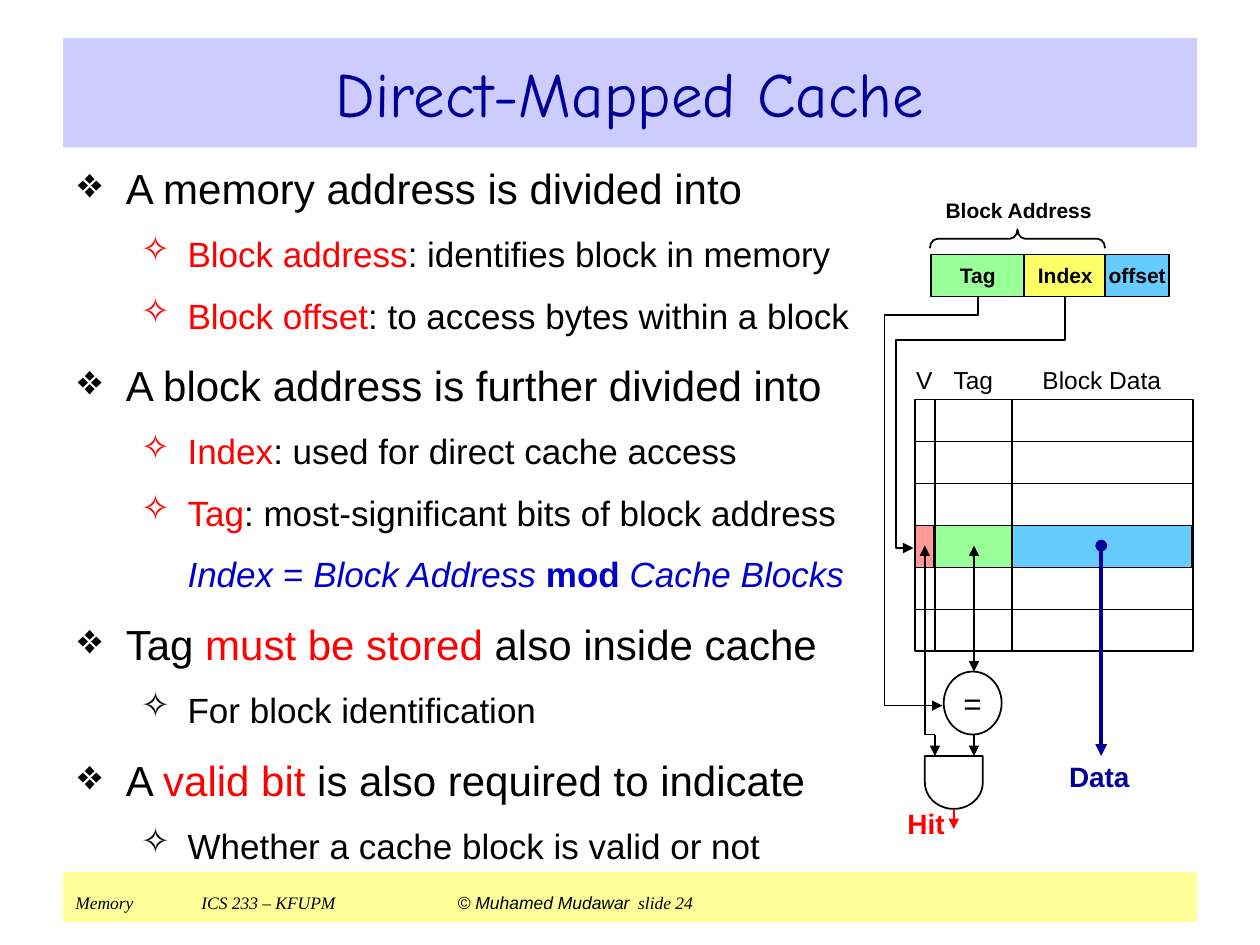
"""Build the Direct-Mapped Cache slide."""
from dataclasses import dataclass
from typing import NamedTuple, Optional

from lxml.etree import SubElement
from pptx import Presentation
from pptx.dml.color import RGBColor
from pptx.enum.shapes import MSO_CONNECTOR, MSO_SHAPE
from pptx.enum.text import MSO_ANCHOR, PP_ALIGN
from pptx.oxml.ns import qn
from pptx.util import Inches, Pt

C = {
    "black": "000000", "white": "FFFFFF", "red": "FF0000", "navy": "000099",
    "blue": "0000CC", "lavender": "CCCCFF", "cream": "FFFF99", "green": "99FF99",
    "yellow": "FFFF66", "sky": "66CCFF", "pink": "FF9999",
}


class Run(NamedTuple):
    text: str
    color: str = "black"
    italic: bool = False
    bold: bool = False
    size: Optional[float] = None
    font: str = "Arial"


class Para(NamedTuple):
    level: int
    runs: list
    bullet: str = "black"


@dataclass
class Box:
    x: float
    y: float
    w: float
    h: float
    fill: Optional[str] = None
    text: str = ""
    size: float = 12
    bold: bool = True
    color: str = "black"
    kind: MSO_SHAPE = MSO_SHAPE.RECTANGLE
    line: Optional[str] = "black"
    rotation: float = 0


class Arrow(NamedTuple):
    start: tuple
    end: tuple
    color: str = "black"
    width: float = 1
    head: str = ""
    tail: str = ""


def rgb(name: str) -> RGBColor:
    return RGBColor.from_string(C[name])


def add_run(p, run: Run, size: float) -> None:
    r = p.add_run()
    r.text = run.text
    f = r.font
    f.name, f.size, f.bold, f.italic = run.font, Pt(run.size or size), run.bold, run.italic
    f.color.rgb = rgb(run.color)


def style_line(sp, color: str, width: float = 1, head: str = "", tail: str = "") -> None:
    sp.line.color.rgb = rgb(color)
    sp.line.width = Pt(width)
    ln = sp.line._get_or_add_ln()
    for tag, end in (("a:headEnd", head), ("a:tailEnd", tail)):
        if end:
            SubElement(ln, qn(tag), type=end)


def center_text(tf, run: Run) -> None:
    tf.word_wrap = True
    tf.vertical_anchor = MSO_ANCHOR.MIDDLE
    tf.margin_left = tf.margin_right = tf.margin_top = tf.margin_bottom = 0
    tf.paragraphs[0].alignment = PP_ALIGN.CENTER
    add_run(tf.paragraphs[0], run, 12)


def draw_box(s, box: Box):
    sp = s.shapes.add_shape(box.kind, *map(Inches, (box.x, box.y, box.w, box.h)))
    sp.shadow.inherit = False
    sp.rotation = box.rotation
    if box.fill:
        sp.fill.solid()
        sp.fill.fore_color.rgb = rgb(box.fill)
    else:
        sp.fill.background()
    if box.line:
        style_line(sp, box.line)
    else:
        sp.line.fill.background()
    if box.text:
        center_text(sp.text_frame, Run(box.text, box.color, bold=box.bold, size=box.size))
    return sp


def draw_label(s, box: Box) -> None:
    sp = s.shapes.add_textbox(*map(Inches, (box.x, box.y, box.w, box.h)))
    center_text(sp.text_frame, Run(box.text, box.color, bold=box.bold, size=box.size))


def draw_arrow(s, a: Arrow) -> None:
    sp = s.shapes.add_connector(MSO_CONNECTOR.STRAIGHT, *map(Inches, a.start + a.end))
    style_line(sp, a.color, a.width, a.head, a.tail)
    SubElement(sp._element.spPr, qn("a:effectLst"))


def draw_path(s, points: list) -> None:
    pts = [(Inches(x), Inches(y)) for x, y in points]
    fb = s.shapes.build_freeform(*pts[0], scale=1.0)
    fb.add_line_segments(pts[1:], close=False)
    sp = fb.convert_to_shape()
    sp.shadow.inherit = False
    sp.fill.background()
    style_line(sp, "black", tail="triangle")


def draw_title(s) -> None:
    sp = s.shapes.title
    sp.left, sp.top, sp.width, sp.height = map(Inches, (0.5, 0.3, 9, 0.87))
    sp.fill.solid()
    sp.fill.fore_color.rgb = rgb("lavender")
    tf = sp.text_frame
    tf.vertical_anchor = MSO_ANCHOR.MIDDLE
    p = tf.paragraphs[0]
    p.alignment = PP_ALIGN.CENTER
    add_run(p, Run("Direct-Mapped Cache", "navy", font="Comic Neue"), 36)


def draw_footer(s) -> None:
    sp = draw_box(s, Box(0.5, 6.92, 9, 0.4, "cream", line=None))
    tf = sp.text_frame
    tf.word_wrap = True
    tf.vertical_anchor = MSO_ANCHOR.TOP
    p = tf.paragraphs[0]
    p.alignment = PP_ALIGN.LEFT
    tabs = SubElement(p._p.get_or_add_pPr(), qn("a:tabLst"))
    for pos in (1, 3):
        SubElement(tabs, qn("a:tab"), pos=str(Inches(pos)), algn="l")
    serif = "Times New Roman"
    for run in (Run("Memory\tICS 233 – KFUPM\t ", italic=True, font=serif),
                Run("© Muhamed Mudawar", italic=True), Run(" ", size=18),
                Run("slide 24", italic=True, font=serif)):
        add_run(p, run, 10)


def draw_body(s, paras: list) -> None:
    levels = ((0.38, 0.38, 13.5, 24, "❖"), (0.87, 0.37, 11.2, 20, "✧"))
    tf = s.shapes.add_textbox(*map(Inches, (0.52, 1.24, 6.35, 5.6))).text_frame
    tf.word_wrap = True
    for i, para in enumerate(paras):
        margin, hang, before, size, char = levels[para.level]
        p = tf.paragraphs[0] if i == 0 else tf.add_paragraph()
        p.level = para.level
        pPr = p._p.get_or_add_pPr()
        pPr.set("marL", str(Inches(margin)))
        pPr.set("indent", str(-Inches(hang) if para.bullet else 0))
        if i:
            p.space_before = Pt(before)
        if para.bullet:
            SubElement(SubElement(pPr, qn("a:buClr")), qn("a:srgbClr"), val=C[para.bullet])
            SubElement(pPr, qn("a:buChar"), char=char)
        for run in para.runs:
            add_run(p, run, size)


def draw_diagram(s) -> None:
    left, right, top, row = 7.26, 9.47, 3.17, 1 / 3
    bottom, hit = top + 6 * row, top + 3 * row
    columns = ((left, 0.15, "V", "pink"), (7.42, 0.61, "Tag", "green"),
               (8.03, 1.43, "Block Data", "sky"))
    draw_box(s, Box(left, top, right - left, 6 * row, "white"))
    for i in (1, 2, 5):
        draw_arrow(s, Arrow((left, top + i * row), (right, top + i * row)))
    for x, w, name, fill in columns:
        draw_box(s, Box(x, hit, w, row, fill))
        draw_label(s, Box(x, 2.8, w, 0.42, text=name, size=14, bold=False))
        if x > left:
            draw_arrow(s, Arrow((x, top), (x, bottom)))

    draw_box(s, Box(7.36, 5.98, 0.42, 0.46, "white", kind=MSO_SHAPE.FLOWCHART_DELAY, rotation=90))
    draw_box(s, Box(7.49, 5.33, 0.46, 0.5, "white", "=", 18, False, kind=MSO_SHAPE.OVAL))
    for arrow in (
        Arrow((8.74, 4.33), (8.74, 6), "navy", 2.25, "oval", "triangle"),
        Arrow((7.73, 4.33), (7.73, 5.33), head="triangle", tail="triangle"),
        Arrow((7.73, 5.83), (7.73, 6), tail="triangle"),
        Arrow((7.42, 5.83), (7.42, 6), tail="triangle"),
        Arrow((7.57, 6.42), (7.57, 6.58), "red", tail="triangle"),
        Arrow((7.42, 5.83), (7.34, 5.83)),
        Arrow((7.34, 4.33), (7.34, 5.83), head="triangle"),
    ):
        draw_arrow(s, arrow)
    draw_label(s, Box(7.12, 6.37, 0.46, 0.33, text="Hit", size=16, color="red"))
    draw_label(s, Box(8.46, 6, 0.53, 0.33, text="Data", size=16, color="navy"))

    for x, w, name, fill in ((7.39, 0.74, "Tag", "green"), (8.13, 0.65, "Index", "yellow"),
                             (8.77, 0.51, "offset", "sky")):
        draw_box(s, Box(x, 2.02, w, row, fill, name))
    draw_label(s, Box(7.39, 1.57, 1.39, 0.2, text="Block Address"))
    brace = draw_box(s, Box(8, 1.2, 0.15, 1.39, kind=MSO_SHAPE.LEFT_BRACE, rotation=90))
    brace.adjustments[0] = 0.4
    draw_path(s, [(8.45, 2.35), (8.45, 2.7), (7.11, 2.7), (7.11, 4.35), (7.25, 4.35)])
    draw_path(s, [(7.76, 2.35), (7.76, 2.5), (7.02, 2.5), (7.02, 5.6), (7.48, 5.6)])


def main() -> None:
    prs = Presentation()
    prs.slide_width, prs.slide_height = Inches(10), Inches(7.5)
    s = prs.slides.add_slide(prs.slide_layouts[5])
    draw_footer(s)
    draw_title(s)
    draw_body(s, [
        Para(0, [Run("A memory address is divided into")]),
        Para(1, [Run("Block address", "red"), Run(": identifies block in memory")], "red"),
        Para(1, [Run("Block offset", "red"), Run(": to access bytes within a block")], "red"),
        Para(0, [Run("A block address is further divided into")]),
        Para(1, [Run("Index", "red"), Run(": used for direct cache access")], "red"),
        Para(1, [Run("Tag", "red"), Run(": most-significant bits of block address")], "red"),
        Para(1, [Run("Index", "blue", True), Run(" = ", "blue"), Run("Block Address ", "blue", True),
                 Run("mod ", "blue", bold=True), Run("Cache Blocks", "blue", True)], ""),
        Para(0, [Run("Tag "), Run("must be stored", "red"), Run(" also inside cache")]),
        Para(1, [Run("For block identification")]),
        Para(0, [Run("A "), Run("valid bit", "red"), Run(" is also required to indicate")]),
        Para(1, [Run("Whether a cache block is valid or not")]),
    ])
    draw_diagram(s)
    prs.save("out.pptx")


if __name__ == "__main__":
    main()
